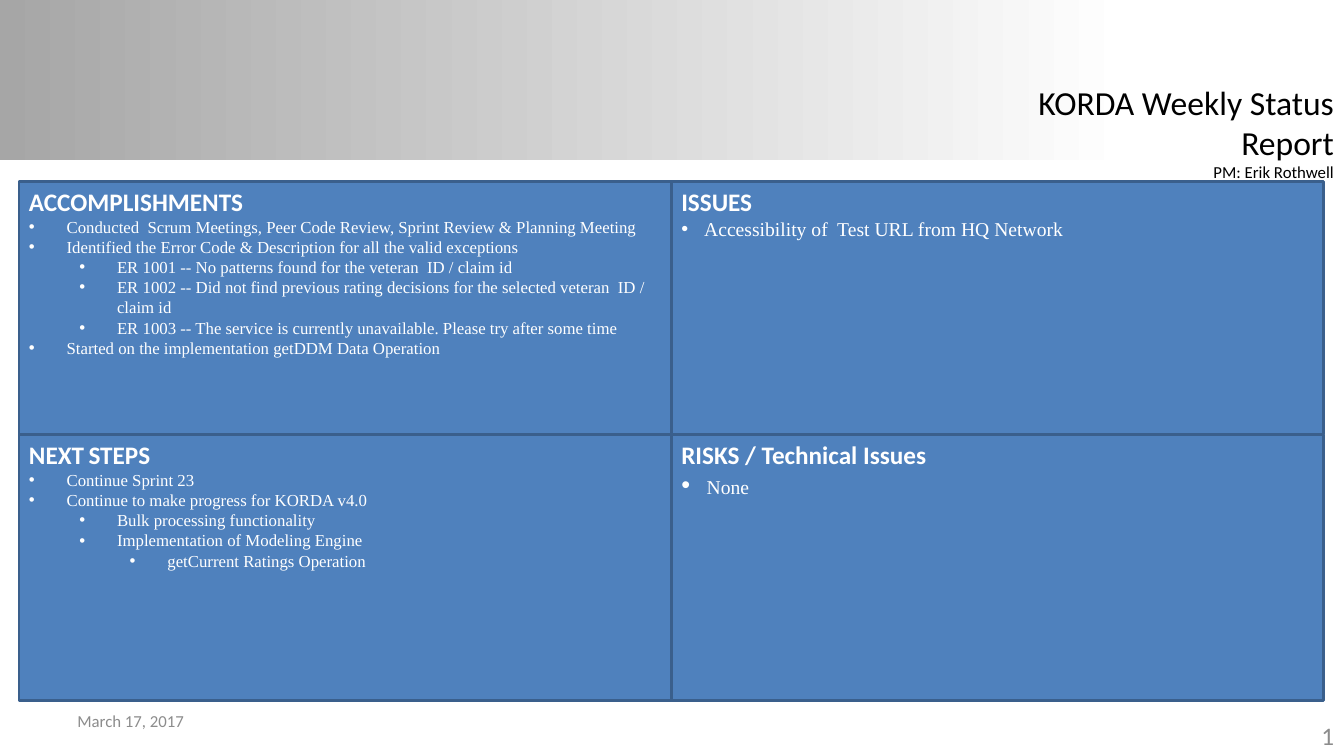
from lxml import etree
from pptx import Presentation
from pptx.dml.color import RGBColor
from pptx.enum.shapes import MSO_SHAPE
from pptx.enum.text import MSO_ANCHOR, PP_ALIGN
from pptx.oxml.ns import qn
from pptx.util import Cm, Pt

RECT = MSO_SHAPE.RECTANGLE
TOP, MIDDLE = MSO_ANCHOR.TOP, MSO_ANCHOR.MIDDLE
LEFT, RIGHT = PP_ALIGN.LEFT, PP_ALIGN.RIGHT
SANS, SERIF = "Calibri", "Times New Roman"
BLACK, WHITE, GREY, SILVER = "000000", "FFFFFF", "8C8C8C", "A6A6A6"
BLUE, NAVY = "4F81BD", "3A5F8C"


def rgb(value):
    return RGBColor.from_string(value)


class StatusSlide:
    """Holds the style and the current slide, and draws its elements."""

    level_step = 1.27

    def __init__(self, prs):
        self.shapes = prs.slides.add_slide(prs.slide_layouts[6]).shapes

    def rect(self, x, y, w, h):
        sp = self.shapes.add_shape(RECT, Cm(x), Cm(y), Cm(w), Cm(h))
        sp.shadow.inherit = False
        return sp

    def banner(self, w, h):
        sp = self.rect(0, 0, w, h)
        sp.line.fill.background()
        sp.fill.gradient()
        sp.fill.gradient_angle = 0
        stops = ((0, SILVER), (0.84, WHITE))
        for stop, (position, color) in zip(sp.fill.gradient_stops, stops):
            stop.position = position
            stop.color.rgb = rgb(color)

    def run(self, p, text, size, color, font=SANS, bold=False):
        r = p.add_run()
        r.text = text
        r.font.name, r.font.size, r.font.bold = font, Pt(size), bold
        r.font.color.rgb = rgb(color)

    def label(self, x, y, w, h, lines, color, align=LEFT, anchor=MIDDLE, wrap=True):
        tf = self.shapes.add_textbox(Cm(x), Cm(y), Cm(w), Cm(h)).text_frame
        tf.word_wrap, tf.vertical_anchor = wrap, anchor
        for i, (text, size) in enumerate(lines):
            p = tf.add_paragraph() if i else tf.paragraphs[0]
            p.alignment = align
            self.run(p, text, size, color)

    def bullet(self, p, level, hang):
        p.level = level
        pPr = p._p.get_or_add_pPr()
        pPr.set("marL", str(Cm(hang + level * self.level_step)))
        pPr.set("indent", str(-Cm(hang)))
        etree.SubElement(pPr, qn("a:buFont")).set("typeface", "Arial")
        etree.SubElement(pPr, qn("a:buChar")).set("char", "•")

    def panel(self, x, y, w, h, heading, items, hang):
        sp = self.rect(x, y, w, h)
        sp.fill.solid()
        sp.fill.fore_color.rgb = rgb(BLUE)
        sp.line.color.rgb = rgb(NAVY)
        sp.line.width = Pt(2)
        tf = sp.text_frame
        tf.word_wrap, tf.vertical_anchor = True, TOP
        p = tf.paragraphs[0]
        p.alignment = LEFT
        for text, size in heading:
            self.run(p, text, size, WHITE, bold=True)
        for level, runs in items:
            p = tf.add_paragraph()
            p.alignment = LEFT
            self.bullet(p, level, hang)
            for text, size in runs:
                self.run(p, text, size, WHITE, SERIF)


def small(level, text):
    return level, [(text, 12)]


ACCOMPLISHMENTS = [
    small(0, "Conducted  Scrum Meetings, Peer Code Review, Sprint Review & Planning Meeting"),
    small(0, "Identified the Error Code & Description for all the valid exceptions"),
    small(1, "ER 1001 -- No patterns found for the veteran  ID / claim id "),
    small(1, "ER 1002 -- Did not find previous rating decisions for the selected veteran  ID / claim id "),
    small(1, "ER 1003 -- The service is currently unavailable. Please try after some time"),
    small(0, "Started on the implementation getDDM Data Operation "),
]
NEXT_STEPS = [
    small(0, "Continue Sprint 23"),
    small(0, "Continue to make progress for KORDA v4.0"),
    small(1, "Bulk processing functionality"),
    small(1, "Implementation of Modeling Engine"),
    small(2, "getCurrent Ratings Operation"),
]
ISSUES = [(0, [(" Accessibility of  Test URL from HQ Network", 14)])]
RISKS = [(0, [(" ", 18), ("None", 14)])]

COLUMNS = ((0.48, 0.95), (16.92, 0.48))
ROWS = ((4.57, 6.37), (10.95, 6.7))
PANELS = (
    (([("ACCOMPLISHMENTS", 18)], ACCOMPLISHMENTS), ([("ISSUES", 18)], ISSUES)),
    (([("NEXT", 18), (" ", 14), ("STEPS", 18)], NEXT_STEPS),
     ([("RISKS / Technical Issues", 18)], RISKS)),
)
PANEL_WIDTH = 16.44

prs = Presentation()
prs.slide_width, prs.slide_height = Cm(33.87), Cm(19.05)
s = StatusSlide(prs)
s.banner(33.87, 4.03)
s.label(25.97, 18.01, 7.9, 1.02, [("1", 18)], GREY, RIGHT)
s.label(23.5, 1.93, 10.37, 1.8,
        [("KORDA Weekly Status Report", 24), ("PM: Erik Rothwell", 12)],
        BLACK, RIGHT, TOP, False)
for (y, h), row in zip(ROWS, PANELS):
    for (x, hang), (heading, items) in zip(COLUMNS, row):
        s.panel(x, y, PANEL_WIDTH, h, heading, items, hang)
s.label(1.7, 17.65, 7.9, 1.02, [("March 17, 2017", 12)], GREY)
prs.save("out.pptx")
